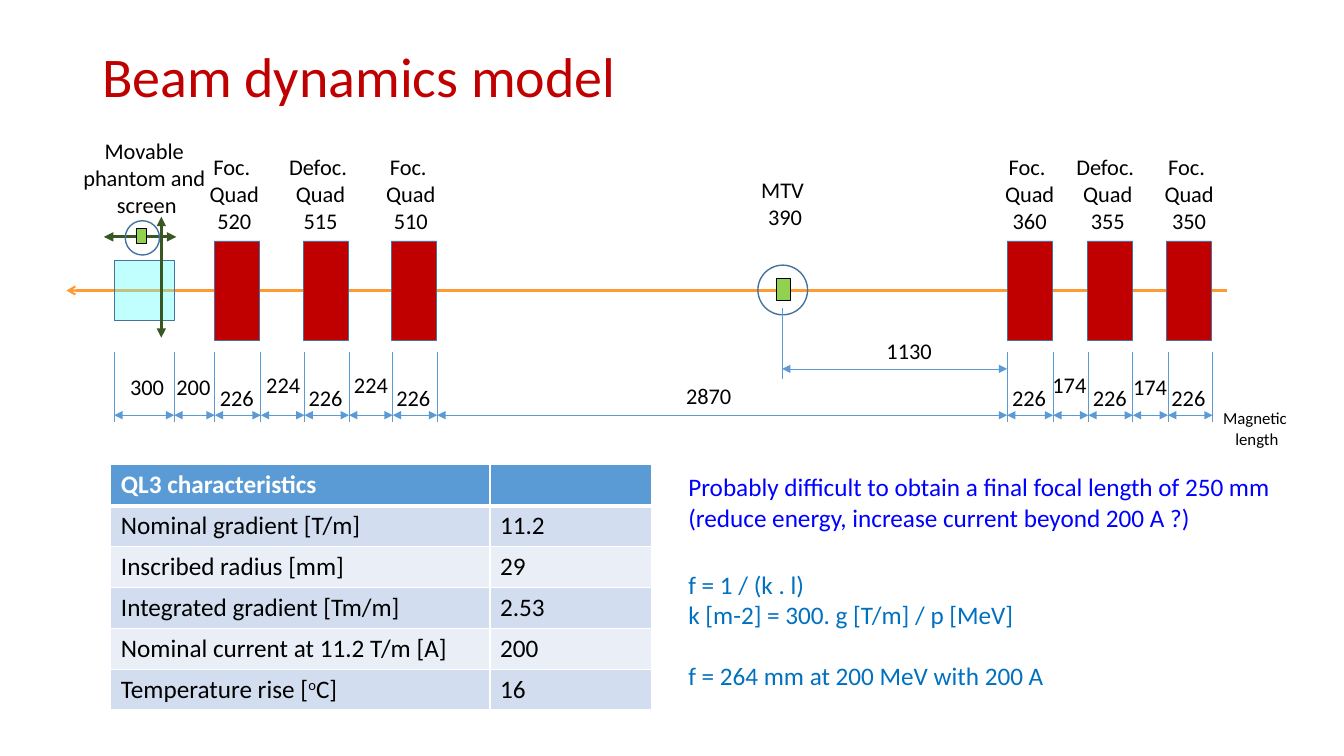
from itertools import product
from typing import NamedTuple

from lxml.etree import SubElement
from pptx import Presentation
from pptx.dml.color import RGBColor
from pptx.enum.shapes import MSO_CONNECTOR, MSO_SHAPE
from pptx.enum.text import MSO_ANCHOR, MSO_AUTO_SIZE, PP_ALIGN
from pptx.oxml.ns import qn
from pptx.util import Pt

FONT = "Calibri"
BLACK, WHITE, RED = "000000", "FFFFFF", "C00000"
OUTLINE, DIMENSION, MOTION = "43739E", "5B9BD5", "385723"
BEAM_Y, DIMENSION_Y = 207.5, 296.6
QUAD_LABEL_WIDTH, LENGTH_LABEL_WIDTH = 64, 50


class Quad(NamedTuple):
    """A quadrupole magnet with its label above."""
    left: float
    label_x: float
    kind: str
    number: str


class Dimension(NamedTuple):
    """A length along the beam line; it starts where the one before ends."""
    end: float
    label_x: float
    label_top: float
    length: str


class Detector(NamedTuple):
    """A round chamber with a small screen in it."""
    left: float
    top: float
    diameter: float
    screen: tuple[float, float, float, float]


class Label(NamedTuple):
    """A block of text lines centred on x."""
    x: float
    top: float
    width: float
    lines: str
    size: float = 16


QUADS = [
    Quad(153.4, 167.4, "Foc. ", "520"), Quad(216.6, 229, "Defoc. ", "515"),
    Quad(279.6, 293.4, "Foc. ", "510"), Quad(719.4, 735.5, "Foc. ", "360"),
    Quad(776.8, 791.3, "Defoc. ", "355"), Quad(833.2, 849.4, "Foc. ", "350"),
]
START_X = 81.6
DIMENSIONS = [
    Dimension(124.5, 105.1, 262.8, "300"), Dimension(153.4, 138.2, 262.8, "200"),
    Dimension(186.3, 169.2, 270.7, "226"), Dimension(217.5, 202.3, 261.4, "224"),
    Dimension(249.3, 232.6, 270.7, "226"), Dimension(280.6, 265, 261.4, "224"),
    Dimension(312.3, 295.2, 270.7, "226"), Dimension(719.4, 506.2, 269.3, "2870"),
    Dimension(752.3, 735.1, 270.7, "226"), Dimension(777.4, 763.9, 261.4, "174"),
    Dimension(809.2, 792.7, 270.7, "226"), Dimension(834.3, 821.5, 262.8, "174"),
    Dimension(866.2, 848.9, 270.7, "226"),
]
DETECTORS = [
    Detector(541.4, 189.4, 35.5, (554.6, 198.9, 10.4, 15.6)),
    Detector(89.5, 157.7, 24.5, (97.8, 163.5, 7, 10.6)),
]
LABELS = [
    Label(559, 122.4, 50, "MTV\n 390"),
    Label(649.4, 237.6, LENGTH_LABEL_WIDTH, "1130"),
    Label(104.8, 94.3, 110, "Movable \nphantom and \nscreen"),
    Label(897.8, 288, 66, "Magnetic \nlength", 12),
]
CHARACTERISTICS = [
    (["QL3 characteristics"], [""]),
    (["Nominal gradient [T/m]"], ["11.2"]),
    (["Inscribed radius [mm]"], ["29"]),
    (["Integrated gradient [Tm/m]"], ["2.53"]),
    (["Nominal current at 11.2 T/m [A]"], ["200"]),
    (["Temperature rise [", "o", "C]"], ["16"]),
]


def color(value: str) -> RGBColor:
    """Turn a hex string into a colour."""
    return RGBColor.from_string(value)


def add_text(page, left: float, top: float, width: float, height: float, text: str,
             size: float, ink: str = BLACK, align=PP_ALIGN.LEFT):
    """Add a text box of unwrapped lines and return its frame."""
    frame = page.shapes.add_textbox(Pt(left), Pt(top), Pt(width), Pt(height)).text_frame
    frame.word_wrap = False
    frame.auto_size = MSO_AUTO_SIZE.SHAPE_TO_FIT_TEXT
    frame.text = text
    for para in frame.paragraphs:
        para.alignment = align
        for span in para.runs:
            span.font.name, span.font.size = FONT, Pt(size)
            span.font.color.rgb = color(ink)
    return frame


def add_label(page, label: Label) -> None:
    """Add a centred label."""
    height = 7.2 + 1.22 * label.size * len(label.lines.split("\n"))
    add_text(page, label.x - label.width / 2, label.top, label.width, height,
             label.lines, label.size, align=PP_ALIGN.CENTER)


def add_box(shapes, kind, left: float, top: float, width: float, height: float,
            fill: str | None, outline: str = OUTLINE, weight: float = 0.5):
    """Add a flat shape; no fill when fill is None."""
    box = shapes.add_shape(kind, Pt(left), Pt(top), Pt(width), Pt(height))
    box.shadow.inherit = False
    if fill:
        box.fill.solid()
        box.fill.fore_color.rgb = color(fill)
    else:
        box.fill.background()
    box.line.color.rgb, box.line.width = color(outline), Pt(weight)
    return box


def add_line(page, x1: float, y1: float, x2: float, y2: float, ink: str = DIMENSION,
             weight: float = 0.5, head: str = "none", tail: str = "none") -> None:
    """Add a straight line with optional arrowheads."""
    line = page.shapes.add_connector(MSO_CONNECTOR.STRAIGHT, Pt(x1), Pt(y1), Pt(x2), Pt(y2))
    line.line.color.rgb, line.line.width = color(ink), Pt(weight)
    outline = line.line._get_or_add_ln()
    SubElement(outline, qn("a:headEnd"), type=head)
    SubElement(outline, qn("a:tailEnd"), type=tail)
    SubElement(line._element.spPr, qn("a:effectLst"))


def add_double_arrow(page, x1: float, y1: float, x2: float, y2: float,
                     ink: str = DIMENSION, weight: float = 0.5) -> None:
    """Add a line with a triangle at both ends."""
    add_line(page, x1, y1, x2, y2, ink, weight, "triangle", "triangle")


def add_detector(page, detector: Detector) -> None:
    """Add a chamber and its screen as one group."""
    shapes = page.shapes.add_group_shape().shapes
    add_box(shapes, MSO_SHAPE.OVAL, detector.left, detector.top, detector.diameter,
            detector.diameter, None, weight=1)
    add_box(shapes, MSO_SHAPE.RECTANGLE, *detector.screen, "92D050", BLACK, 0.75)


def fill_cell(cell, parts: list[str], row: int) -> None:
    """Write and style one table cell; a middle part is superscript."""
    header = row == 0
    para = cell.text_frame.paragraphs[0]
    for index, part in enumerate(parts):
        span = para.add_run()
        span.text = part
        span.font.name, span.font.size, span.font.bold = FONT, Pt(18), header
        span.font.color.rgb = color(WHITE if header else BLACK)
        if index == 1:
            span.font._element.set("baseline", "30000")
    properties = cell._tc.get_or_add_tcPr()
    for side in ("lnL", "lnR", "lnT", "lnB"):
        thick = (header and side == "lnB") or (row == 1 and side == "lnT")
        border = SubElement(properties, qn(f"a:{side}"), w=str(Pt(3 if thick else 1)))
        SubElement(SubElement(border, qn("a:solidFill")), qn("a:srgbClr"), val=WHITE)
    cell.fill.solid()
    cell.fill.fore_color.rgb = color(DIMENSION if header else ("EAEFF7", "D2DEEF")[row % 2])


def add_characteristics(page) -> None:
    """Add the magnet table."""
    table = page.shapes.add_table(len(CHARACTERISTICS), 2, Pt(79.2), Pt(332),
                                  Pt(386), Pt(175.2)).table
    table.columns[0].width, table.columns[1].width = Pt(270.8), Pt(115.2)
    for row, column in product(range(len(CHARACTERISTICS)), range(2)):
        fill_cell(table.cell(row, column), CHARACTERISTICS[row][column], row)


deck = Presentation()
deck.slide_width, deck.slide_height = Pt(960), Pt(540)
page = deck.slides.add_slide(deck.slide_layouts[6])

title = add_text(page, 66, 28.8, 828, 56.2, "Beam dynamics model", 40, RED)
title.auto_size, title.word_wrap = MSO_AUTO_SIZE.NONE, True
title.vertical_anchor = MSO_ANCHOR.MIDDLE
title.paragraphs[0].line_spacing = 0.9

add_line(page, 47.5, BEAM_Y, 876.2, BEAM_Y, "FF9933", 1.5, head="arrow")
for quad in QUADS:
    add_box(page.shapes, MSO_SHAPE.RECTANGLE, quad.left, 172.1, 32, 71, RED)
    add_label(page, Label(quad.label_x, 105.8, QUAD_LABEL_WIDTH,
                          f"{quad.kind}\nQuad\n{quad.number}"))

start = START_X
add_line(page, start, 251.3, start, 301.7)
for dimension in DIMENSIONS:
    add_line(page, dimension.end, 251.3, dimension.end, 301.7)
    add_double_arrow(page, start, DIMENSION_Y, dimension.end, DIMENSION_Y)
    add_label(page, Label(dimension.label_x, dimension.label_top, LENGTH_LABEL_WIDTH,
                          dimension.length))
    start = dimension.end

phantom = add_box(page.shapes, MSO_SHAPE.RECTANGLE, START_X, 186, 42.8, 42.8, "66FFFF")
phantom_fill = phantom._element.spPr.find(qn("a:solidFill"))
SubElement(phantom_fill[0], qn("a:alpha"), val="40000")

add_double_arrow(page, 74.2, 169.2, 126, 169.2, MOTION, 2.25)
for detector in DETECTORS:
    add_detector(page, detector)
add_double_arrow(page, 115.2, 154.8, 115.2, 241.2, MOTION, 2.25)
add_double_arrow(page, 558.7, 263.5, 719.4, 263.5)
add_line(page, 558.7, 220.3, 558.7, 270.7)
for label in LABELS:
    add_label(page, label)

add_characteristics(page)
add_text(page, 484.6, 333.4, 431.3, 51.1,
         "Probably difficult to obtain a final focal length of 250 mm\n"
         "(reduce energy, increase current beyond 200 A ?) ", 18, "0000FF")
formulas = add_text(page, 484.6, 403.2, 271.4, 94.3,
                    "f = 1 / (k . l)\nk [m-2] = 300. g [T/m] / p [MeV]\n"
                    "f = 264 mm at 200 MeV with 200 A", 18, "0070C0")
formulas.paragraphs[2].space_before = Pt(21.6)

deck.save("out.pptx")
